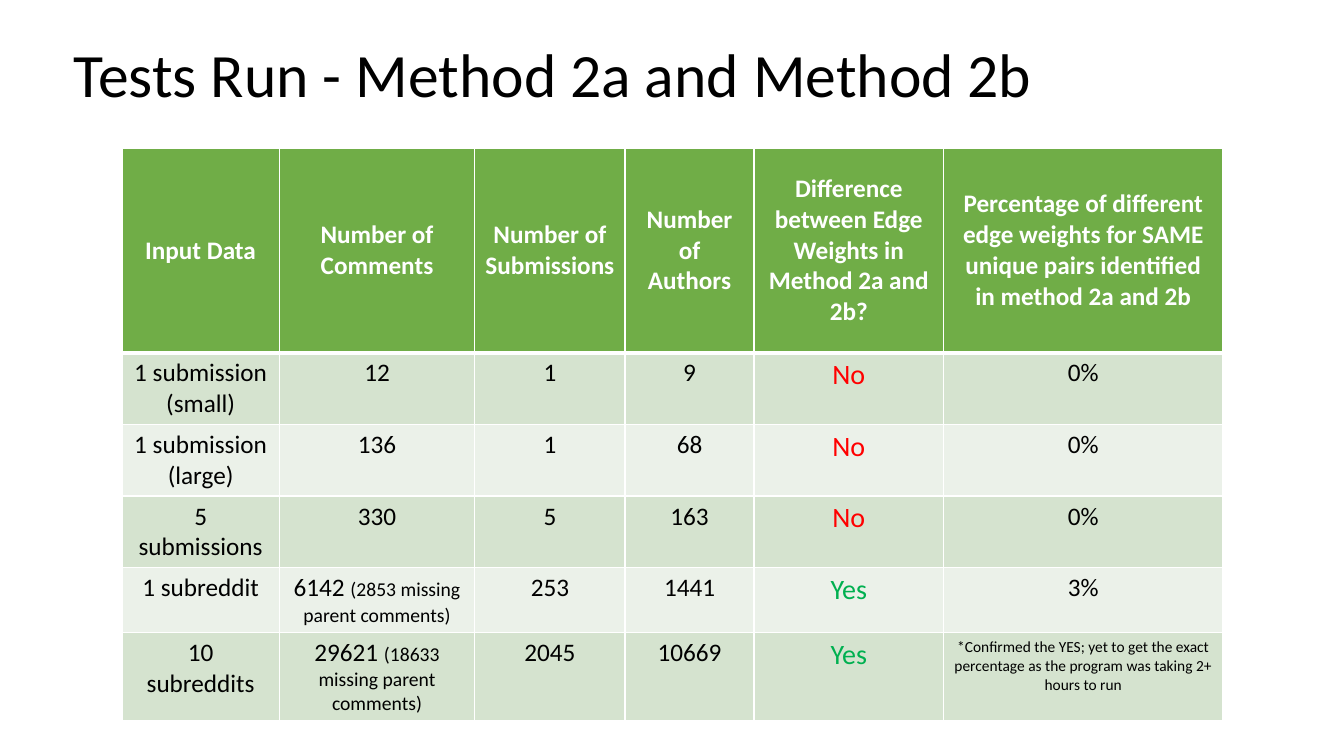
import dataclasses
import typing

import lxml.etree
import pptx
import pptx.dml.color
import pptx.enum.text
import pptx.oxml.ns
import pptx.util

EMU_PER_PX = 9144
FONT = "Calibri"
COLORS = {
    "black": "000000",
    "white": "FFFFFF",
    "header": "70AD47",
    "dark_band": "D5E3CF",
    "light_band": "EBF1E9",
    "no": "FF0000",
    "yes": "00B050",
}
COLUMN_WIDTHS = (156, 194, 149, 128, 188, 277)
HEADER_HEIGHT = 203
ROW_HEIGHT = 60


@dataclasses.dataclass(frozen=True)
class Span:
    text: str
    size: int = 18
    color: str = "black"
    bold: bool = False


@dataclasses.dataclass(frozen=True)
class Frame:
    left: int
    top: int
    width: int
    height: int


Cell = tuple[Span, ...]

TITLE_FRAME = Frame(63, 4, 1150, 145)
TABLE_FRAME = Frame(121, 147, sum(COLUMN_WIDTHS), 563)
HEADINGS = (
    "Input Data",
    "Number of Comments",
    "Number of Submissions",
    "Number of Authors",
    "Difference between Edge Weights in Method 2a and 2b?",
    "Percentage of different edge weights for SAME unique pairs identified in method 2a and 2b",
)
NO = Span("No", 20, "no")
YES = Span("Yes", 20, "yes")
UNFINISHED = Span(
    "*Confirmed the YES; yet to get the exact percentage as the program was taking 2+ hours to run", 11
)
RESULTS = (
    ("1 submission (small)", "12", "1", "9", NO, "0%"),
    ("1 submission (large)", "136", "1", "68", NO, "0%"),
    ("5 submissions", "330", "5", "163", NO, "0%"),
    ("1 subreddit", (Span("6142 "), Span("(2853 missing parent comments)", 14)), "253", "1441", YES, "3%"),
    ("10 subreddits", (Span("29621 "), Span("(18633 missing parent comments)", 14)), "2045", "10669", YES, UNFINISHED),
)


def px(length: int) -> int:
    return pptx.util.Emu(length * EMU_PER_PX)


def rgb(name: str) -> pptx.dml.color.RGBColor:
    return pptx.dml.color.RGBColor.from_string(COLORS[name])


def apply_format(target: typing.Any, values: dict[str, typing.Any]) -> None:
    for name, value in values.items():
        setattr(target, name, value)


def place(shape: typing.Any, frame: Frame) -> None:
    apply_format(shape, {name: px(length) for name, length in dataclasses.asdict(frame).items()})


def as_cell(value: str | Span | Cell) -> Cell:
    if isinstance(value, str):
        return (Span(value),)
    return (value,) if isinstance(value, Span) else value


def write(para: typing.Any, spans: Cell) -> None:
    for span in spans:
        run = para.add_run()
        run.text = span.text
        apply_format(run.font, {"name": FONT, "size": pptx.util.Pt(span.size), "bold": span.bold})
        run.font.color.rgb = rgb(span.color)


def add_borders(cell: typing.Any, top: int, bottom: int) -> None:
    properties = cell._tc.get_or_add_tcPr()
    for side, width in {"lnL": 1, "lnR": 1, "lnT": top, "lnB": bottom}.items():
        line = lxml.etree.SubElement(
            properties, pptx.oxml.ns.qn(f"a:{side}"), w=str(pptx.util.Pt(width))
        )
        fill = lxml.etree.SubElement(line, pptx.oxml.ns.qn("a:solidFill"))
        lxml.etree.SubElement(fill, pptx.oxml.ns.qn("a:srgbClr"), val=COLORS["white"])


def add_title(page: typing.Any) -> None:
    title = page.shapes.title
    place(title, TITLE_FRAME)
    apply_format(
        title.text_frame,
        {"vertical_anchor": pptx.enum.text.MSO_ANCHOR.MIDDLE, "word_wrap": True},
    )
    para = title.text_frame.paragraphs[0]
    apply_format(para, {"alignment": pptx.enum.text.PP_ALIGN.LEFT, "line_spacing": 0.9})
    write(para, (Span("Tests Run - Method 2a and Method 2b", 44),))


def add_results(page: typing.Any) -> None:
    header = tuple(Span(text, color="white", bold=True) for text in HEADINGS)
    content = (header, *RESULTS)
    shape = page.shapes.add_table(len(content), len(HEADINGS), 0, 0, px(TABLE_FRAME.width), px(TABLE_FRAME.height))
    table = shape.table
    for column, width in zip(table.columns, COLUMN_WIDTHS):
        column.width = px(width)
    for index, (row, values) in enumerate(zip(table.rows, content)):
        is_header = index == 0
        row.height = px(HEADER_HEIGHT if is_header else ROW_HEIGHT)
        band = "header" if is_header else "dark_band" if index % 2 else "light_band"
        anchor = pptx.enum.text.MSO_ANCHOR.MIDDLE if is_header else pptx.enum.text.MSO_ANCHOR.TOP
        for cell, value in zip(row.cells, values):
            add_borders(cell, top=3 if index == 1 else 1, bottom=3 if is_header else 1)
            cell.fill.solid()
            cell.fill.fore_color.rgb = rgb(band)
            cell.vertical_anchor = anchor
            para = cell.text_frame.paragraphs[0]
            para.alignment = pptx.enum.text.PP_ALIGN.CENTER
            write(para, as_cell(value))
    place(shape, TABLE_FRAME)


def main() -> None:
    deck = pptx.Presentation()
    apply_format(deck, {"slide_width": px(1333), "slide_height": px(750)})
    page = deck.slides.add_slide(deck.slide_layouts[5])
    add_title(page)
    add_results(page)
    deck.save("out.pptx")


if __name__ == "__main__":
    main()
